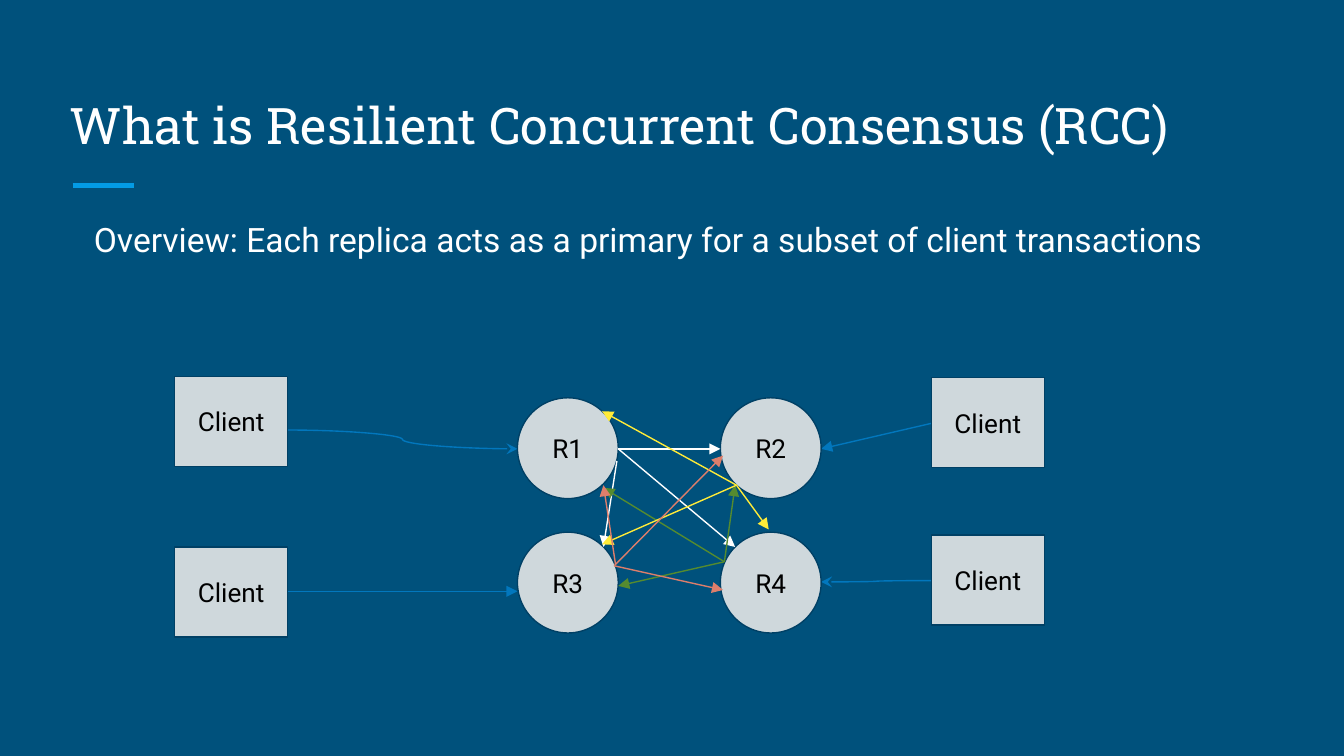
"""Build the Resilient Concurrent Consensus overview slide."""
from dataclasses import dataclass

from lxml.etree import SubElement
from pptx import Presentation
from pptx.dml.color import RGBColor as Rgb
from pptx.enum.shapes import MSO_CONNECTOR as Link, MSO_SHAPE as Shape
from pptx.enum.text import MSO_ANCHOR as Anchor, MSO_AUTO_SIZE as AutoSize, PP_ALIGN as Align
from pptx.oxml.ns import qn
from pptx.util import Inches, Pt


@dataclass(frozen=True)
class Theme:
    background: str = "00517C"
    accent: str = "039BE5"
    light: str = "FFFFFF"
    dark: str = "000000"
    node_fill: str = "CFD8DC"
    node_edge: str = "004065"
    request: str = "0277BD"
    from_r1: str = "FFFFFF"
    from_r2: str = "FFEB38"
    from_r3: str = "DD7E6B"
    from_r4: str = "558B2F"
    heading_font: str = "Roboto Slab"
    body_font: str = "Roboto"
    title_size: float = 27
    overview_size: float = 18
    label_size: float = 14
    thin: float = 0.75
    thick: float = 3


theme = Theme()
prs = Presentation()
prs.slide_width, prs.slide_height = Inches(10), Inches(10 * 9 / 16)
slide = prs.slides.add_slide(prs.slide_layouts[5])
slide.background.fill.solid()
slide.background.fill.fore_color.rgb = Rgb.from_string(theme.background)


def write(shape, text, font, size, color, align, anchor):
    frame = shape.text_frame
    frame.word_wrap = True
    frame.auto_size = AutoSize.NONE
    frame.vertical_anchor = anchor
    frame.margin_left = frame.margin_right = Inches(0.1)
    frame.margin_top = frame.margin_bottom = Inches(0.1)
    paragraph = frame.paragraphs[0]
    paragraph.alignment = align
    run = paragraph.add_run()
    run.text = text
    run.font.name = font
    run.font.size = Pt(size)
    run.font.color.rgb = Rgb.from_string(color)


def connect(start, end, color, width=theme.thin, kind=Link.STRAIGHT, head=None):
    link = slide.shapes.add_connector(kind, *map(Inches, (*start, *end)))
    link.line.color.rgb = Rgb.from_string(color)
    link.line.width = Pt(width)
    properties = link._element.spPr
    if head:
        SubElement(properties.get_or_add_ln(), qn("a:tailEnd"), type=head)
    SubElement(properties, qn("a:effectLst"))


connect((0.54, 1.38), (1, 1.38), theme.accent, theme.thick)

title = slide.shapes.title
title.left, title.top, title.width, title.height = map(Inches, (0.42, 0.5, 9.15, 0.75))
write(title, "What is Resilient Concurrent Consensus (RCC)", theme.heading_font,
      theme.title_size, theme.light, Align.LEFT, Anchor.BOTTOM)

overview = slide.shapes.add_textbox(*map(Inches, (0.6, 1.53, 9.19, 1)))
write(overview, "Overview: Each replica acts as a primary for a subset of client transactions",
      theme.body_font, theme.overview_size, theme.light, Align.LEFT, Anchor.TOP)

requests = [
    ((6.93, 3.15), (6.11, 3.34), Link.STRAIGHT, "triangle"),
    ((2.14, 4.4), (3.85, 4.4), Link.STRAIGHT, "triangle"),
    ((2.14, 3.2), (3.85, 3.34), Link.CURVE, "stealth"),
    ((6.93, 4.32), (6.11, 4.33), Link.CURVE, "stealth"),
]
for client_side, replica_side, kind, head in requests:
    connect(client_side, replica_side, theme.request, kind=kind, head=head)

replica_size, client_size = (0.75, 0.75), (0.84, 0.67)
nodes = [
    (Shape.OVAL, f"R{2 * row + column + 1}", (3.85 + 1.51 * column, 2.96 + row), replica_size)
    for row in range(2) for column in range(2)
]
nodes += [
    (Shape.RECTANGLE, "Client", corner, client_size)
    for corner in ((1.3, 2.8), (1.3, 4.07), (6.93, 3.98), (6.93, 2.81))
]
for outline, label, corner, size in nodes:
    node = slide.shapes.add_shape(outline, *map(Inches, (*corner, *size)))
    node.shadow.inherit = False
    node.fill.solid()
    node.fill.fore_color.rgb = Rgb.from_string(theme.node_fill)
    node.line.color.rgb = Rgb.from_string(theme.node_edge)
    node.line.width = Pt(theme.thin)
    write(node, label, theme.body_font, theme.label_size, theme.dark, Align.CENTER, Anchor.MIDDLE)

broadcasts = [
    (theme.from_r1, [((4.6, 3.34), (5.36, 3.34)), ((4.6, 3.34), (5.47, 4.07)),
                     ((4.59, 3.43), (4.49, 4.07))]),
    (theme.from_r4, [((5.39, 4.18), (4.6, 4.36)), ((5.39, 4.18), (4.49, 3.63)),
                     ((5.39, 4.18), (5.47, 3.61))]),
    (theme.from_r2, [((5.48, 3.61), (5.72, 3.94)), ((5.48, 3.61), (4.48, 4.05)),
                     ((5.48, 3.61), (4.48, 3.06))]),
    (theme.from_r3, [((4.57, 4.21), (5.38, 4.39)), ((4.57, 4.21), (5.38, 3.39)),
                     ((4.58, 4.2), (4.49, 3.61))]),
]
for color, messages in broadcasts:
    for sender, receiver in messages:
        connect(sender, receiver, color, head="triangle")

prs.save("out.pptx")
